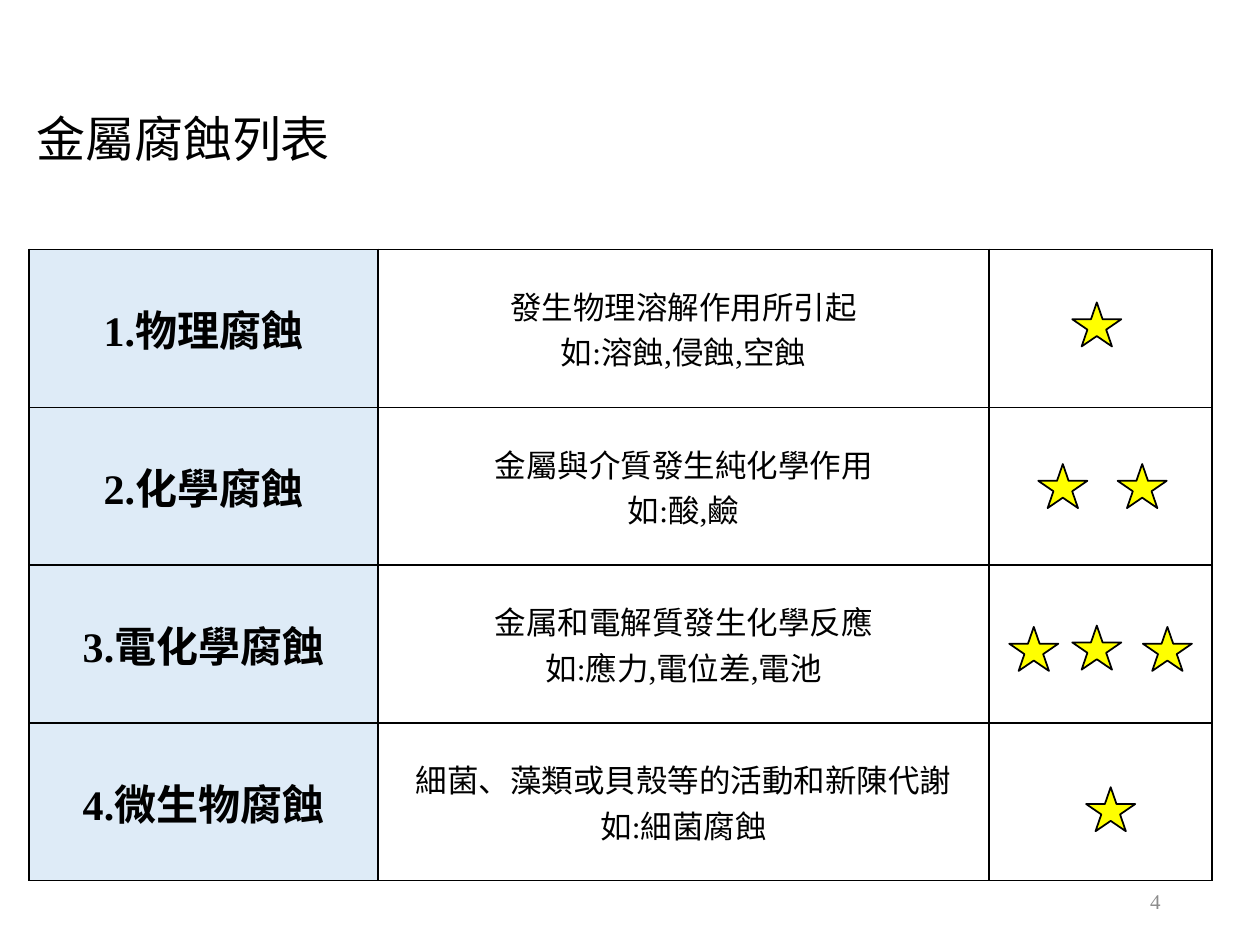
from dataclasses import dataclass

from lxml import etree
from pptx import Presentation
from pptx import util as u
from pptx.dml.color import RGBColor
from pptx.enum import shapes, text
from pptx.oxml.ns import qn


@dataclass(frozen=True)
class Theme:
    font: str = "Times New Roman"
    ink: str = "000000"
    muted: str = "8C8C8C"
    label_fill: str = "DEEBF7"
    star_fill: str = "FFFF00"
    title_size: int = 28
    label_size: int = 24
    body_size: int = 18
    number_size: int = 12
    line_width: int = 1


THEME = Theme()
SLIDE_SIZE = (10, 7.5)

# Boxes: left, top, width, height in inches
TITLE_BOX = (0.19, 0.4, 3.61, 1.45)
TABLE_BOX = (0.23, 1.98, 9.39, 5.01)
NUMBER_BOX = (7.06, 6.95, 2.25, 0.4)
COLUMN_WIDTHS = (2.77, 4.85, 1.77)
STAR_SIZE = (0.39, 0.35)

# Label, description lines, star offsets (x, y) within the last cell
ROWS = [
    ("1.物理腐蝕", ("發生物理溶解作用所引起", "如:溶蝕,侵蝕,空蝕"),
     [(0.66, 0.42)]),
    ("2.化學腐蝕", ("金屬與介質發生純化學作用", "如:酸,鹼"),
     [(0.39, 0.45), (1.02, 0.45)]),
    ("3.電化學腐蝕", ("金属和電解質發生化學反應", "如:應力,電位差,電池"),
     [(0.16, 0.49), (0.66, 0.48), (1.22, 0.49)]),
    ("4.微生物腐蝕", ("細菌、藻類或貝殼等的活動和新陳代謝", "如:細菌腐蝕"),
     [(0.77, 0.51)]),
]


def inches(values):
    return [u.Inches(value) for value in values]


def color(code):
    return RGBColor.from_string(code)


def write(frame, lines, size, align, ink=THEME.ink, bold=False, spacing=None):
    for index, line in enumerate(lines):
        para = frame.paragraphs[0] if index == 0 else frame.add_paragraph()
        para.text = line
        para.alignment = align
        para.line_spacing = spacing
        para.font.name = THEME.font
        para.font.size = u.Pt(size)
        para.font.bold = bold
        para.font.color.rgb = color(ink)


def add_text(page, box, line, size, align, **style):
    frame = page.shapes.add_textbox(*inches(box)).text_frame
    frame.word_wrap = True
    frame.vertical_anchor = text.MSO_ANCHOR.MIDDLE
    write(frame, [line], size, align, **style)


def set_borders(cell):
    properties = cell._tc.get_or_add_tcPr()
    for index, side in enumerate(("lnL", "lnR", "lnT", "lnB")):
        line = etree.Element(qn(f"a:{side}"), w=str(u.Pt(THEME.line_width)))
        fill = etree.SubElement(line, qn("a:solidFill"))
        etree.SubElement(fill, qn("a:srgbClr"), val=THEME.ink)
        properties.insert(index, line)


def add_corrosion_table(page, box):
    table = page.shapes.add_table(
        len(ROWS), len(COLUMN_WIDTHS), *inches(box)).table
    table.first_row = table.horz_banding = False
    for column, width in zip(table.columns, COLUMN_WIDTHS):
        column.width = u.Inches(width)

    for row, (label, description, _) in enumerate(ROWS):
        table.rows[row].height = u.Inches(box[3] / len(ROWS))
        for cell in table.rows[row].cells:
            cell.fill.background()
            cell.vertical_anchor = text.MSO_ANCHOR.MIDDLE
            set_borders(cell)
        label_cell, description_cell = table.cell(row, 0), table.cell(row, 1)
        label_cell.fill.solid()
        label_cell.fill.fore_color.rgb = color(THEME.label_fill)
        center = text.PP_ALIGN.CENTER
        write(label_cell.text_frame, [label], THEME.label_size, center, bold=True)
        write(description_cell.text_frame, description, THEME.body_size, center)


def add_stars(page, box):
    left = box[0] + sum(COLUMN_WIDTHS[:-1])
    row_height = box[3] / len(ROWS)
    for row, (_, _, offsets) in enumerate(ROWS):
        top = box[1] + row * row_height
        for x, y in offsets:
            star = page.shapes.add_shape(
                shapes.MSO_SHAPE.STAR_5_POINT,
                *inches((left + x, top + y, *STAR_SIZE)))
            star.shadow.inherit = False
            star.fill.solid()
            star.fill.fore_color.rgb = color(THEME.star_fill)
            star.line.color.rgb = color(THEME.ink)
            star.line.width = u.Pt(THEME.line_width)


def main():
    deck = Presentation()
    deck.slide_width, deck.slide_height = inches(SLIDE_SIZE)
    page = deck.slides.add_slide(deck.slide_layouts[6])

    # Title
    add_text(page, TITLE_BOX, "金屬腐蝕列表", THEME.title_size,
             text.PP_ALIGN.LEFT, spacing=0.9)
    # Table with its star ratings
    add_corrosion_table(page, TABLE_BOX)
    add_stars(page, TABLE_BOX)
    # Page number
    add_text(page, NUMBER_BOX, "4", THEME.number_size,
             text.PP_ALIGN.RIGHT, ink=THEME.muted)

    deck.save("out.pptx")


if __name__ == "__main__":
    main()
